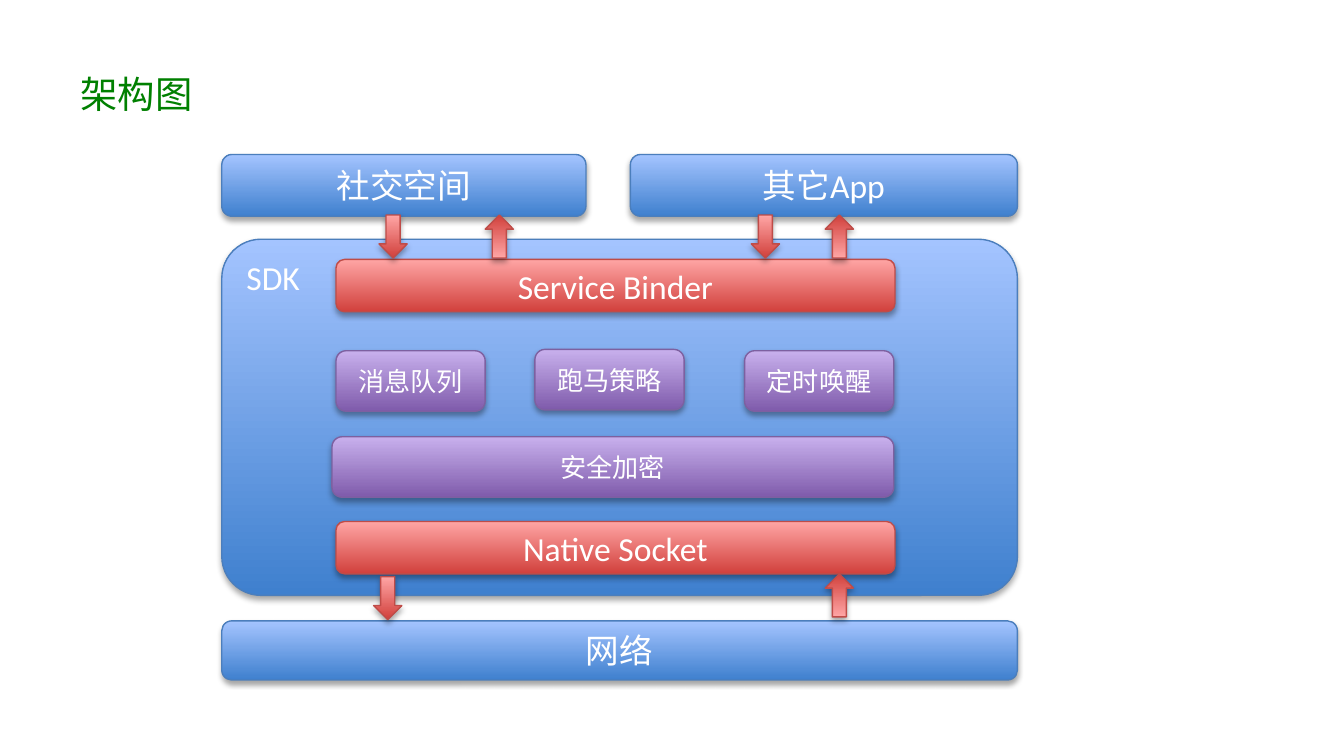
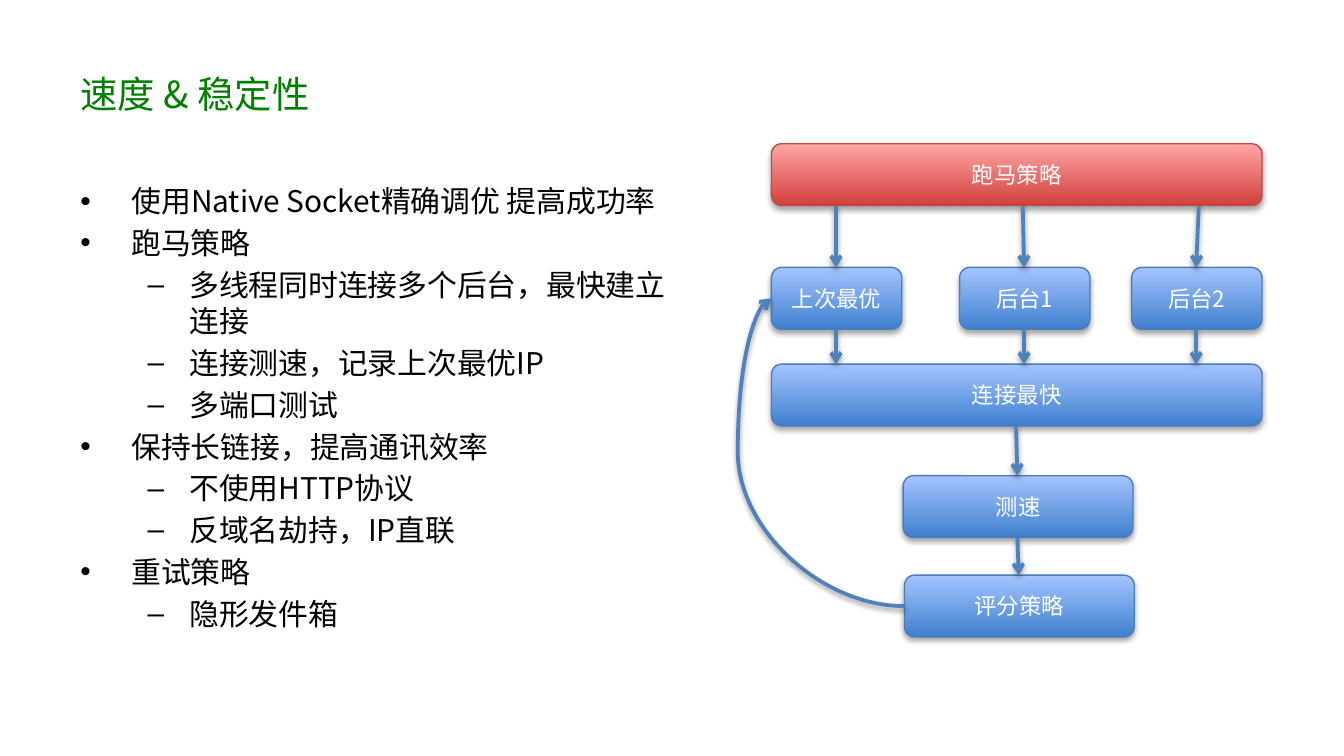
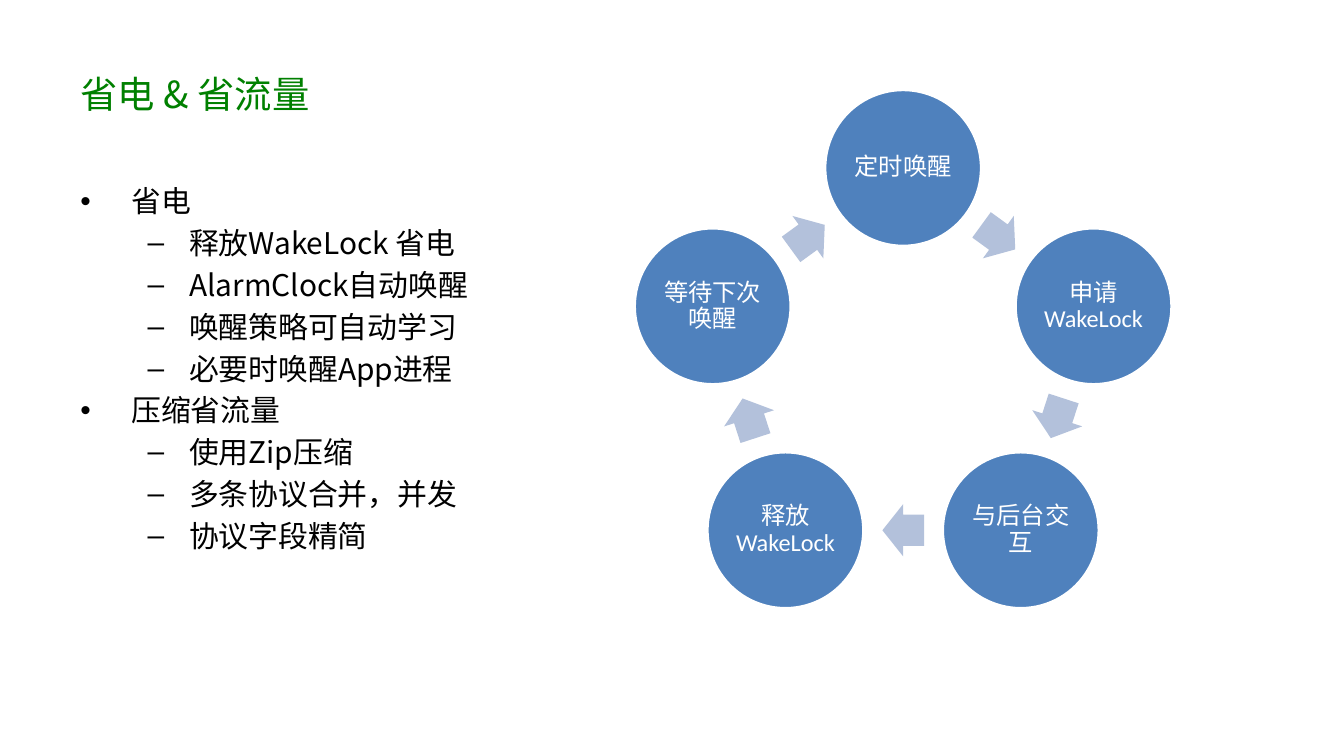
import math
from dataclasses import dataclass
from lxml import etree
from pptx import Presentation
from pptx.dml.color import RGBColor
from pptx.enum.shapes import MSO_CONNECTOR, MSO_SHAPE
from pptx.enum.text import MSO_ANCHOR, PP_ALIGN
from pptx.oxml.ns import qn
from pptx.util import Inches, Pt


@dataclass(frozen=True)
class Theme:
    """Colours as (bottom, top, outline) gradients or plain hex, fonts and sizes."""
    blue: tuple = ("3F80CE", "A4C4FF", "4B7EBC")
    red: tuple = ("D1403C", "FFA6A5", "BF4C48")
    purple: tuple = ("7F5BAB", "C8B0ED", "7D60A0")
    accent: str = "4F81BD"
    pale: str = "B3C1DB"
    title: str = "008000"
    black: str = "000000"
    white: str = "FFFFFF"
    latin: str = "Calibri"
    cjk: str = "Noto Sans CJK SC"
    title_size: int = 20
    layer_size: int = 18
    body_size: int = 16
    module_size: int = 14
    cycle_size: int = 13
    flow_size: int = 12


T = Theme()
BOX_H = 0.46


def rgb(value):
    """Turn a hex string into a colour."""
    return RGBColor.from_string(value)


def box(left, top, width, height):
    """Give a frame in lengths."""
    return [Inches(v) for v in (left, top, width, height)]


def write(paragraph, text, size, color, font, align=PP_ALIGN.LEFT):
    """Fill a paragraph with one formatted run."""
    paragraph.alignment = align
    run = paragraph.add_run()
    run.text = text
    run.font.size = Pt(size)
    run.font.color.rgb = rgb(color)
    run.font.name = font
    etree.SubElement(run.font._element, qn("a:ea"), typeface=T.cjk)


def add_shadow(shape, opacity, distance):
    """Give a shape or connector a soft shadow straight below it."""
    properties = shape._element.spPr
    effects = properties.find(qn("a:effectLst"))
    if effects is None:
        effects = etree.SubElement(properties, qn("a:effectLst"))
    shadow = etree.SubElement(
        effects, qn("a:outerShdw"), blurRad=str(Pt(3.1)), dist=str(Pt(distance)),
        dir="5400000", rotWithShape="0")
    color = etree.SubElement(shadow, qn("a:srgbClr"), val=T.black)
    etree.SubElement(color, qn("a:alpha"), val=str(opacity * 1000))


def add_glossy(slide, kind, frame, palette):
    """Add a shape with a vertical gradient, a thin outline and a shadow."""
    bottom, top, outline = palette
    shape = slide.shapes.add_shape(kind, *box(*frame))
    shape.fill.gradient()
    shape.fill.gradient_angle = 90
    for stop, color in zip(shape.fill.gradient_stops, (bottom, top)):
        stop.color.rgb = rgb(color)
    shape.line.color.rgb = rgb(outline)
    shape.line.width = Pt(0.75)
    shape.shadow.inherit = False
    add_shadow(shape, 35, 1.8)
    return shape


def add_block(slide, text, frame, palette, size, font=T.latin):
    """Add a rounded block with a centred label."""
    shape = add_glossy(slide, MSO_SHAPE.ROUNDED_RECTANGLE, frame, palette)
    shape.text_frame.vertical_anchor = MSO_ANCHOR.MIDDLE
    write(shape.text_frame.paragraphs[0], text, size, T.white, font, PP_ALIGN.CENTER)


def add_call_arrow(slide, left, top, upward=False):
    """Add a small red block arrow pointing down or up."""
    arrow = add_glossy(slide, MSO_SHAPE.DOWN_ARROW, (left, top, 0.21, 0.32), T.red)
    arrow.rotation = 180 if upward else 0


def add_link(slide, start, end, kind=MSO_CONNECTOR.STRAIGHT):
    """Connect two points with an arrow."""
    link = slide.shapes.add_connector(kind, *[Inches(v) for v in (*start, *end)])
    link.line.color.rgb = rgb(T.accent)
    link.line.width = Pt(2)
    etree.SubElement(link.line._get_or_add_ln(), qn("a:tailEnd"), type="arrow")
    add_shadow(link, 38, 1.6)
    return link


def add_titled_slide(prs, title):
    """Add a title-only slide with its green title."""
    slide = prs.slides.add_slide(prs.slide_layouts[5])
    holder = slide.shapes.title
    holder.left, holder.top, holder.width, holder.height = box(0.5, 0.23, 9, 0.94)
    holder.text_frame.vertical_anchor = MSO_ANCHOR.MIDDLE
    write(holder.text_frame.paragraphs[0], title, T.title_size, T.title, T.cjk)
    return slide


def add_outline(slide, frame, items):
    """Add a two-level bullet list from (level, text) pairs."""
    text_frame = slide.shapes.add_textbox(*box(*frame)).text_frame
    text_frame.word_wrap = True
    for index, (level, text) in enumerate(items):
        paragraph = text_frame.add_paragraph() if index else text_frame.paragraphs[0]
        paragraph.level = level
        paragraph.space_before = Pt(3)
        paragraph.line_spacing = Pt(19.4)
        margin, hang, mark = ((0.38, 0.38, "•"), (0.81, 0.31, "–"))[level]
        properties = paragraph._p.get_or_add_pPr()
        properties.set("marL", str(Inches(margin)))
        properties.set("indent", str(-Inches(hang)))
        etree.SubElement(properties, qn("a:buFont"), typeface="Arial")
        etree.SubElement(properties, qn("a:buChar"), char=mark)
        write(paragraph, text, T.body_size, T.black, T.cjk)


def add_cycle(slide, labels, center, radius):
    """Place labelled circles on a ring with arrows between neighbours."""
    diameter, arrow_w, arrow_h = 1.17, 0.31, 0.39
    step = 360 / len(labels)
    chord_radius = radius * math.cos(math.radians(step / 2))

    def frame(degrees, distance, width, height):
        """Centre a frame on the ring, clockwise from the top."""
        angle = math.radians(degrees)
        return box(center[0] + distance * math.sin(angle) - width / 2,
                   center[1] - distance * math.cos(angle) - height / 2, width, height)

    for index, label in enumerate(labels):
        circle = slide.shapes.add_shape(
            MSO_SHAPE.OVAL, *frame(index * step, radius, diameter, diameter))
        circle.fill.solid()
        circle.fill.fore_color.rgb = rgb(T.accent)
        circle.line.color.rgb = rgb(T.white)
        circle.line.width = Pt(2)
        circle.shadow.inherit = False
        text_frame = circle.text_frame
        text_frame.margin_left = text_frame.margin_right = Inches(0.02)
        text_frame.margin_top = text_frame.margin_bottom = Inches(0.02)
        text_frame.vertical_anchor = MSO_ANCHOR.MIDDLE
        text_frame.paragraphs[0].line_spacing = 0.9
        write(text_frame.paragraphs[0], label, T.cycle_size, T.white, T.latin,
              PP_ALIGN.CENTER)

        turn = (index + 0.5) * step
        arrow = slide.shapes.add_shape(
            MSO_SHAPE.RIGHT_ARROW, *frame(turn, chord_radius, arrow_w, arrow_h))
        arrow.adjustments[0] = 0.6
        arrow.rotation = turn
        arrow.fill.solid()
        arrow.fill.fore_color.rgb = rgb(T.pale)
        arrow.line.fill.background()
        arrow.shadow.inherit = False


def build_architecture(prs):
    """Build the layered architecture diagram."""
    slide = add_titled_slide(prs, "架构图")
    left, width = 1.65, 5.92
    add_block(slide, "社交空间", (left, 1.15, 2.71, BOX_H), T.blue, T.layer_size)
    add_block(slide, "其它App", (4.69, 1.15, 2.88, BOX_H), T.blue, T.layer_size)
    service = add_glossy(slide, MSO_SHAPE.ROUNDED_RECTANGLE,
                         (left, 1.78, width, 2.65), T.blue)
    service.adjustments[0] = 0.11
    service.text_frame.vertical_anchor = MSO_ANCHOR.TOP
    write(service.text_frame.paragraphs[0], "SDK", T.layer_size, T.white, T.latin)
    add_block(slide, "网络", (left, 4.62, width, 0.44), T.blue, T.layer_size)

    for text, top in (("Service Binder", 1.93), ("Native Socket", 3.88)):
        add_block(slide, text, (2.5, top, 4.16, 0.39), T.red, T.layer_size)
    for x, y, upward in ((2.82, 1.6, False), (2.78, 4.29, False), (6.14, 4.27, True),
                         (3.61, 1.6, True), (6.14, 1.6, True), (5.59, 1.6, False)):
        add_call_arrow(slide, x, y, upward)
    for text, x, y, w in (("消息队列", 2.5, 2.61, 1.11), ("跑马策略", 3.98, 2.6, 1.11),
                          ("定时唤醒", 5.54, 2.61, 1.11), ("安全加密", 2.47, 3.25, 4.18)):
        add_block(slide, text, (x, y, w, 0.45), T.purple, T.module_size)


def build_speed(prs):
    """Build the speed and stability list with its connection flow."""
    slide = add_titled_slide(prs, "速度 & 稳定性")
    add_outline(slide, (0.5, 1.31, 4.59, 3.62), (
        (0, "使用Native Socket精确调优 提高成功率"),
        (0, "跑马策略"),
        (1, "多线程同时连接多个后台，最快建立连接"),
        (1, "连接测速，记录上次最优IP"),
        (1, "多端口测试"),
        (0, "保持长链接，提高通讯效率"),
        (1, "不使用HTTP协议"),
        (1, "反域名劫持，IP直联"),
        (0, "重试策略"),
        (1, "隐形发件箱"),
    ))
    left, width, server_w = 5.74, 3.65, 0.97
    race, servers, fastest, test, score = 1.07, 1.99, 2.71, 3.54, 4.28
    for text, x, y, w, palette in (
            ("上次最优", left, servers, server_w, T.blue),
            ("后台1", 7.14, servers, server_w, T.blue),
            ("后台2", 8.42, servers, server_w, T.blue),
            ("跑马策略", left, race, width, T.red),
            ("连接最快", left, fastest, width, T.blue),
            ("测速", 6.72, test, 1.71, T.blue),
            ("评分策略", 6.73, score, 1.71, T.blue)):
        add_block(slide, text, (x, y, w, BOX_H), palette, T.flow_size, T.cjk)

    for start_x, x in ((6.22, 6.22), (7.61, 7.62), (8.92, 8.9)):
        add_link(slide, (start_x, race + BOX_H), (x, servers))
        add_link(slide, (x, servers + BOX_H), (x, fastest))
    add_link(slide, (7.56, fastest + BOX_H), (7.57, test))
    add_link(slide, (7.57, test + BOX_H), (7.58, score))
    feedback = add_link(slide, (6.73, score + BOX_H / 2), (left, servers + BOX_H / 2),
                        MSO_CONNECTOR.CURVE)
    guides = feedback._element.spPr.find(qn("a:prstGeom")).find(qn("a:avLst"))
    etree.SubElement(guides, qn("a:gd"), name="adj1", fmla="val 125300")


def build_saving(prs):
    """Build the power and traffic list with its wake-up cycle."""
    slide = add_titled_slide(prs, "省电 & 省流量")
    add_outline(slide, (0.5, 1.31, 4.4, 3.71), (
        (0, "省电"),
        (1, "释放WakeLock 省电"),
        (1, "AlarmClock自动唤醒"),
        (1, "唤醒策略可自动学习"),
        (1, "必要时唤醒App进程"),
        (0, "压缩省流量"),
        (1, "使用Zip压缩"),
        (1, "多条协议合并，并发"),
        (1, "协议字段精简"),
    ))
    add_cycle(slide, ("定时唤醒", "申请WakeLock", "与后台交互", "释放WakeLock",
                      "等待下次唤醒"), (6.72, 2.74), 1.49)


def main():
    """Build and save the presentation."""
    prs = Presentation()
    prs.slide_width = Inches(10)
    prs.slide_height = Inches(10 * 9 / 16)
    build_architecture(prs)
    build_speed(prs)
    build_saving(prs)
    prs.save("out.pptx")


main()
